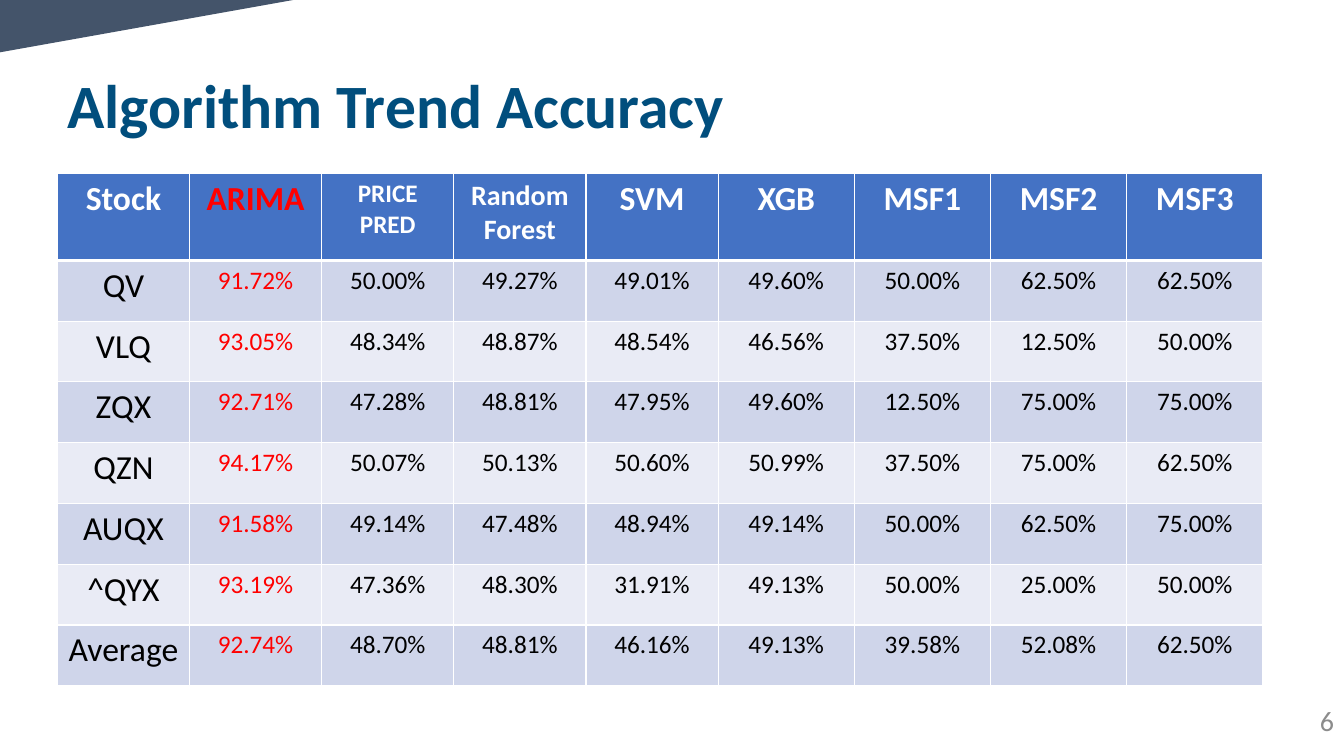
from lxml import etree
from pptx import Presentation
from pptx.dml.color import RGBColor
from pptx.enum.shapes import MSO_SHAPE
from pptx.enum.text import MSO_ANCHOR, PP_ALIGN
from pptx.oxml.ns import qn
from pptx.util import Pt

RIGHT_TRIANGLE = MSO_SHAPE.RIGHT_TRIANGLE
LEFT, CENTER, RIGHT = PP_ALIGN.LEFT, PP_ALIGN.CENTER, PP_ALIGN.RIGHT
MIDDLE, BOTTOM = MSO_ANCHOR.MIDDLE, MSO_ANCHOR.BOTTOM

FONT = "Calibri"
WHITE, BLACK, RED = "FFFFFF", "000000", "FF0000"
HEADER_FILL = "4472C4"
BAND_FILLS = ("CFD5EA", "E9EBF5")
HIGHLIGHTED = "ARIMA"
HEADERS = ("Stock", HIGHLIGHTED, "PRICE PRED", "Random Forest", "SVM", "XGB",
           "MSF1", "MSF2", "MSF3")
HEADER_SIZES = {"PRICE PRED": 18, "Random Forest": 20}
ACCURACIES = (
    ("QV", 91.72, 50.00, 49.27, 49.01, 49.60, 50.00, 62.50, 62.50),
    ("VLQ", 93.05, 48.34, 48.87, 48.54, 46.56, 37.50, 12.50, 50.00),
    ("ZQX", 92.71, 47.28, 48.81, 47.95, 49.60, 12.50, 75.00, 75.00),
    ("QZN", 94.17, 50.07, 50.13, 50.60, 50.99, 37.50, 75.00, 62.50),
    ("AUQX", 91.58, 49.14, 47.48, 48.94, 49.14, 50.00, 62.50, 75.00),
    ("^QYX", 93.19, 47.36, 48.30, 31.91, 49.13, 50.00, 25.00, 50.00),
    ("Average", 92.74, 48.70, 48.81, 46.16, 49.13, 39.58, 52.08, 62.50),
)
COLUMN_WIDTHS = [94.4] * 5 + [97.3] * 4
ROW_HEIGHTS = [62] + [43.4] * len(ACCURACIES)


def rgb(color):
    """Turn a hex string into a colour."""
    return RGBColor.from_string(color)


def write_text(text_frame, text, size, color, alignment, bold=False):
    """Fill a text frame with one styled paragraph."""
    paragraph = text_frame.paragraphs[0]
    paragraph.text = text
    paragraph.alignment = alignment
    font = paragraph.font
    font.name, font.size, font.bold = FONT, Pt(size), bold
    font.color.rgb = rgb(color)
    return paragraph


def add_text(slide, box, text, size, color, alignment, anchor, bold=False):
    """Add a wrapping text box and return its paragraph."""
    text_frame = slide.shapes.add_textbox(*map(Pt, box)).text_frame
    text_frame.word_wrap = True
    text_frame.vertical_anchor = anchor
    return write_text(text_frame, text, size, color, alignment, bold)


def add_corner(slide, width, height, color):
    """Add the triangle in the top left corner."""
    shape = slide.shapes.add_shape(RIGHT_TRIANGLE, 0, 0, Pt(width), Pt(height))
    shape.shadow.inherit = False
    shape.fill.solid()
    shape.fill.fore_color.rgb = rgb(color)
    shape.line.fill.background()
    shape.element.spPr.find(qn("a:xfrm")).set("flipV", "1")


def set_borders(cell, color, widths):
    """Draw the left, right, top and bottom borders of a cell."""
    properties = cell._tc.get_or_add_tcPr()
    for side, width in zip("LRTB", widths):
        line = etree.SubElement(properties, qn(f"a:ln{side}"), w=str(Pt(width)))
        fill = etree.SubElement(line, qn("a:solidFill"))
        etree.SubElement(fill, qn("a:srgbClr"), val=color)


def cell_style(row, column):
    """Return the size and colour of a cell's text."""
    header = HEADERS[column]
    if row == 0:
        size, color = HEADER_SIZES.get(header, 24), WHITE
    else:
        size, color = (24 if column == 0 else 18), BLACK
    return size, RED if header == HIGHLIGHTED else color


def add_accuracy_table(slide, left, top):
    """Add the table of trend accuracy by stock and algorithm."""
    rows = [HEADERS] + [(stock, *(f"{value:.2f}%" for value in values))
                        for stock, *values in ACCURACIES]
    table = slide.shapes.add_table(
        len(rows), len(HEADERS), Pt(left), Pt(top),
        Pt(sum(COLUMN_WIDTHS)), Pt(sum(ROW_HEIGHTS))).table
    for column, width in zip(table.columns, COLUMN_WIDTHS):
        column.width = Pt(width)
    for row, height in zip(table.rows, ROW_HEIGHTS):
        row.height = Pt(height)
    for row, texts in enumerate(rows):
        is_header = row == 0
        fill = HEADER_FILL if is_header else BAND_FILLS[(row - 1) % 2]
        widths = (1, 1, 3 if row == 1 else 1, 3 if is_header else 1)
        for column, text in enumerate(texts):
            cell = table.cell(row, column)
            set_borders(cell, WHITE, widths)
            cell.fill.solid()
            cell.fill.fore_color.rgb = rgb(fill)
            size, color = cell_style(row, column)
            write_text(cell.text_frame, text, size, color, CENTER, is_header)


def main():
    """Build the slide and save it."""
    presentation = Presentation()
    presentation.slide_width, presentation.slide_height = Pt(960), Pt(540)
    slide = presentation.slides.add_slide(presentation.slide_layouts[6])
    add_corner(slide, 209.5, 37.4, "44546A")
    title = add_text(slide, (41, 50.4, 894, 54.7), "Algorithm Trend Accuracy",
                     44, "014E7D", LEFT, BOTTOM, bold=True)
    title.line_spacing = 0.9
    add_text(slide, (901.5, 500.4, 58.5, 28.8), "6", 20, "8C8C8C", RIGHT, MIDDLE)
    add_accuracy_table(slide, 41, 124)
    presentation.save("out.pptx")


main()
